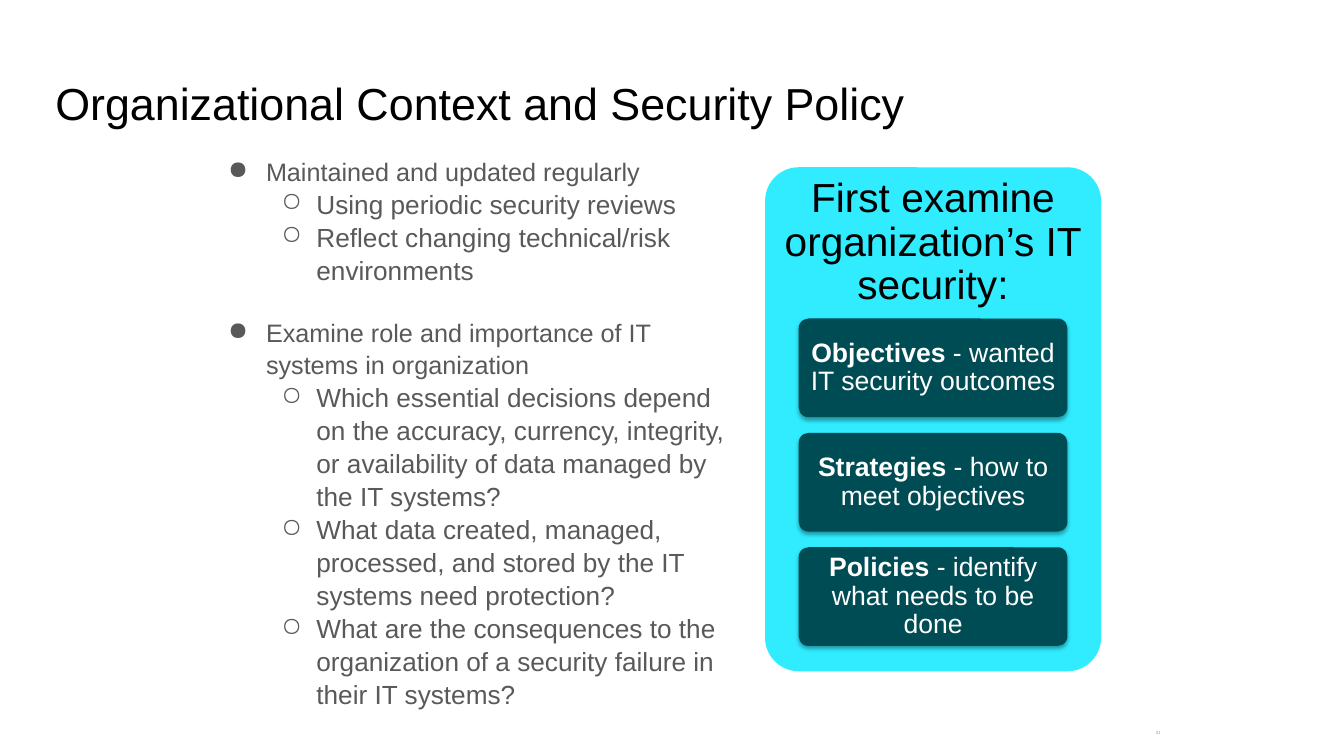
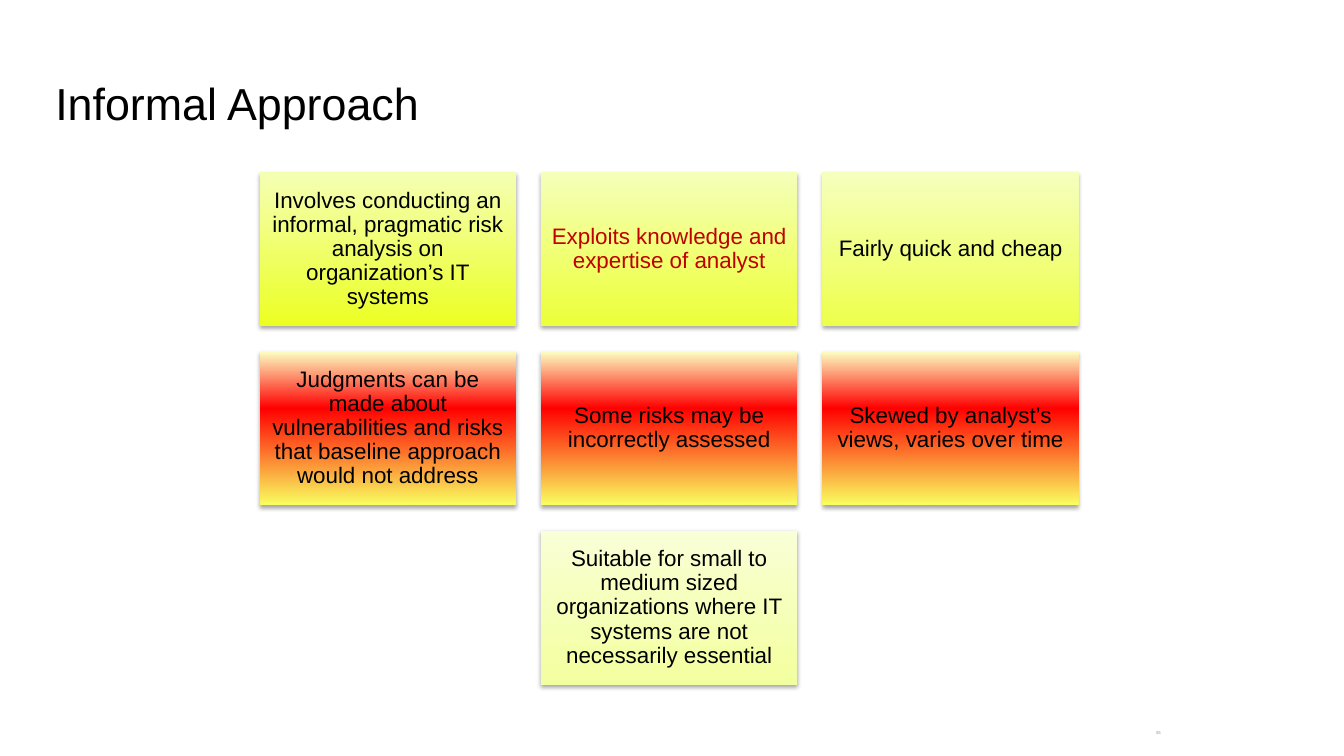
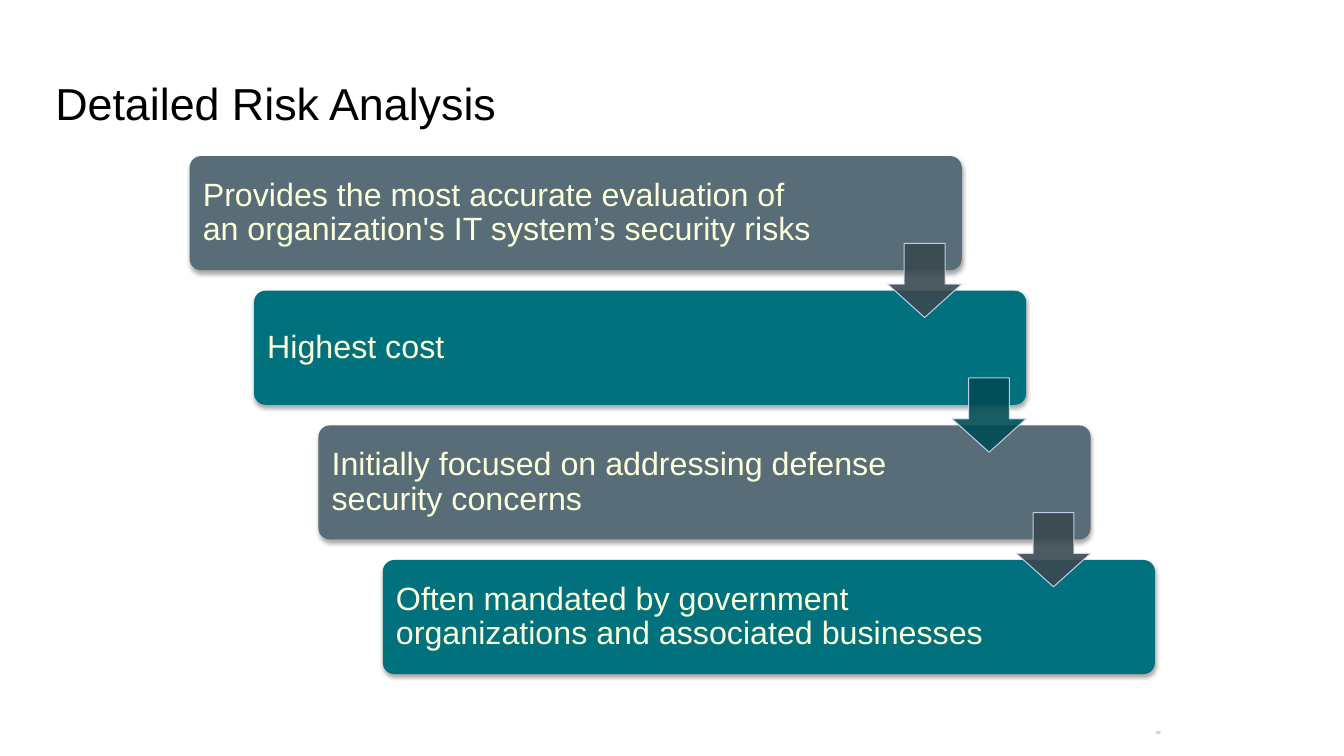
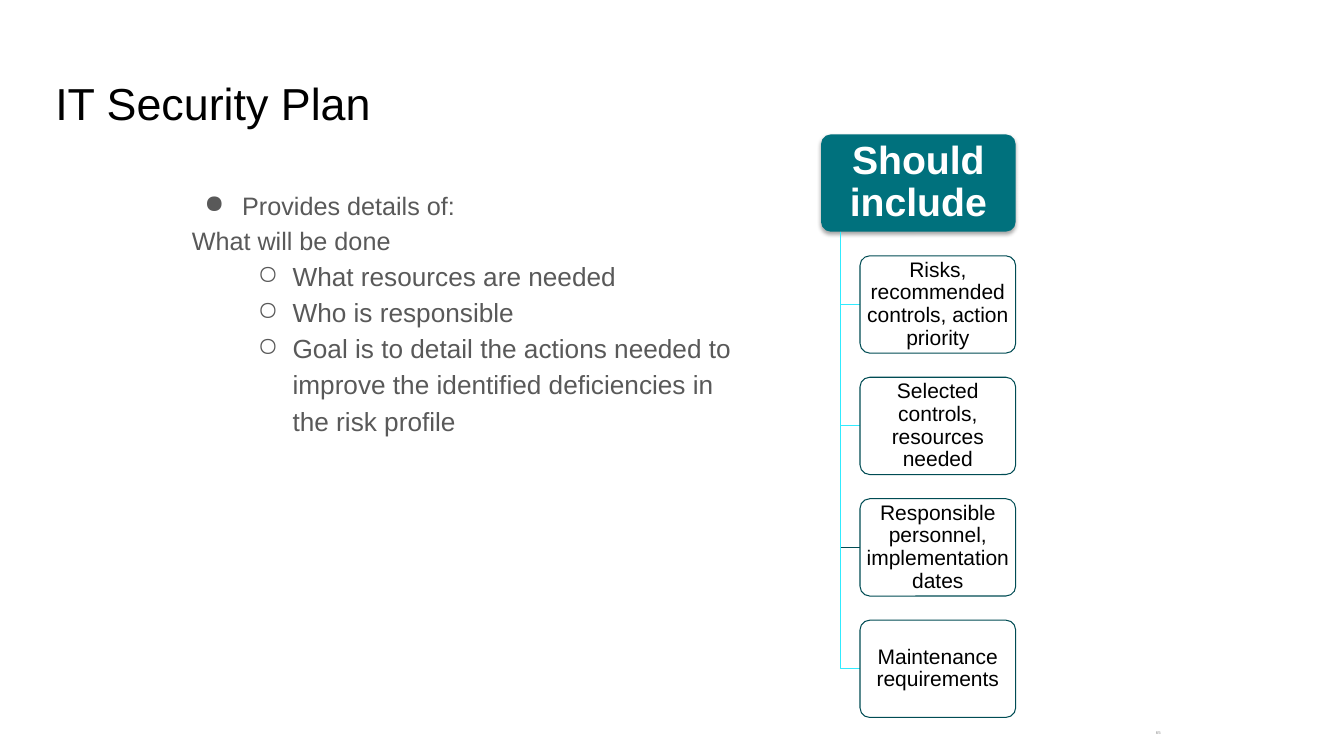
import pptx
import pptx.util
import pptx.dml.color
import pptx.enum.shapes
import pptx.enum.text
import pptx.oxml.ns

Pt = pptx.util.Pt
Shape = pptx.enum.shapes.MSO_SHAPE
Align = pptx.enum.text.PP_ALIGN
Anchor = pptx.enum.text.MSO_ANCHOR

FONT = "Arial"
HEX = {
    "black": "000000", "white": "FFFFFF", "body": "595959", "page": "8C8C8C",
    "cyan": "31EBFF", "teal": "00717D", "deep": "004C54", "slate": "586D77",
    "dusk": "3A4950", "cream": "FCFFD9", "edge": "CFD9FB", "red": "C00000",
}
# Gradient stops from the bottom of the tile to its top
LIME = [(0, "EBFF23"), (100, "F5FFB4")]
LEMON = [(0, "ECFF38"), (100, "F5FFB9")]
CITRUS = [(0, "EDFF4C"), (100, "F6FFBE")]
PALE = [(0, "F3FF9E"), (100, "F9FFD6")]
FLAME = [(0, "F9FF60"), (63, "FF0000"), (100, "FCFFC2")]


def color(name):
    return pptx.dml.color.RGBColor.from_string(HEX[name])


def add(parent, tag, **attrs):
    """Append a DrawingML child and return it."""
    node = parent.makeelement(pptx.oxml.ns.qn(tag), attrs)
    parent.append(node)
    return node


def fade(part, share):
    """Make every plain colour under an XML node partly clear."""
    for node in part.iter(pptx.oxml.ns.qn("a:srgbClr")):
        add(node, "a:alpha", val=str(share * 1000))


def write(frame, text, size=18, tint="black", lead="", align=Align.LEFT,
          space=None, before=0, mark=None, left=0, hang=0, level=0):
    """Add a paragraph; lead is a bold start, mark is a bullet sign."""
    para = frame.paragraphs[0]
    if para.runs:
        para = frame.add_paragraph()
    para.alignment = align
    para.level = level
    if space:
        para.line_spacing = space
    if before:
        para.space_before = Pt(before)
    if mark:
        props = para._p.get_or_add_pPr()
        props.set("marL", str(Pt(left)))
        props.set("indent", str(Pt(-hang)))
        add(add(props, "a:buClr"), "a:srgbClr", val=HEX[tint])
        add(props, "a:buChar", char=mark)
    for part, bold in ((lead, True), (text, False)):
        if part:
            run = para.add_run()
            run.text = part
            run.font.name = FONT
            run.font.size = Pt(size)
            run.font.bold = bold
            run.font.color.rgb = color(tint)


def setup(shape, inset, anchor):
    """Prepare a text frame; inset is left, top, right, bottom."""
    frame = shape.text_frame
    frame.word_wrap = True
    frame.vertical_anchor = anchor
    (frame.margin_left, frame.margin_top,
     frame.margin_right, frame.margin_bottom) = map(Pt, inset)
    return frame


def area(slide, box, inset=(7, 7, 7, 7), anchor=Anchor.TOP):
    return setup(slide.shapes.add_textbox(*map(Pt, box)), inset, anchor)


def block(slide, kind, box, fill, line=None, adjust=(), shadow=False,
          inset=(4, 3, 4, 3)):
    """Draw a preset shape; fill is a colour name or a list of stops."""
    shape = slide.shapes.add_shape(kind, *map(Pt, box))
    shape.shadow.inherit = False
    for i, value in enumerate(adjust):
        shape.adjustments[i] = value
    if isinstance(fill, str):
        shape.fill.solid()
        shape.fill.fore_color.rgb = color(fill)
    else:
        shape.fill.gradient()
        shape.fill.gradient_angle = 90
        stops = shape._element.spPr.find(".//" + pptx.oxml.ns.qn("a:gsLst"))
        for node in list(stops):
            stops.remove(node)
        for place, code in fill:
            stop = add(stops, "a:gs", pos=str(place * 1000))
            add(stop, "a:srgbClr", val=code)
    if line:
        shape.line.color.rgb = color(line)
        shape.line.width = Pt(0.75)
    else:
        shape.line.fill.background()
    if shadow:
        effect = shape._element.spPr.find(pptx.oxml.ns.qn("a:effectLst"))
        outer = add(effect, "a:outerShdw", blurRad=str(Pt(3.1)),
                    dist=str(Pt(1.8)), dir="5400000", rotWithShape="0")
        tint = add(outer, "a:srgbClr", val=HEX["black"])
        add(tint, "a:alpha", val="35000")
    setup(shape, inset, Anchor.MIDDLE)
    return shape


def card(slide, box, fill, **style):
    return block(slide, Shape.ROUNDED_RECTANGLE, box, fill, adjust=[0.1], **style)


def start(deck, title, page):
    """Add a slide with its title and page number."""
    slide = deck.slides.add_slide(deck.slide_layouts[6])
    write(area(slide, (32.5, 47, 894, 60)), title, size=32)
    foot = area(slide, (787, 518.5, 49, 11), (7, 3.5, 7, 3.5), Anchor.MIDDLE)
    write(foot, page, size=3, tint="page", align=Align.RIGHT, space=0.8)
    return slide


def bullets(slide, box, rows, space):
    """Rows are (level, text, gap before); level None has no bullet."""
    frame = area(slide, box)
    looks = {
        None: dict(size=18),
        0: dict(size=18, mark="●", left=36, hang=27),
        1: dict(size=18.7, mark="○", left=72, hang=25, level=1),
    }
    for level, text, gap in rows:
        write(frame, text, tint="body", space=space, before=gap, **looks[level])


def panel(slide, box, head, items):
    """Draw a rounded panel with a heading and a column of cards."""
    x, y, w, h = box
    card(slide, box, "cyan")
    write(area(slide, (x, y, w, 0.3 * h), (8.5,) * 4, Anchor.MIDDLE), head,
          size=29, align=Align.CENTER, space=0.9)
    for i, (lead, text) in enumerate(items):
        spot = (x + 0.1 * w, y + 0.3 * h + i * 81.7, 0.8 * w, 70.5)
        shape = card(slide, spot, "deep", shadow=True)
        write(shape.text_frame, text, lead=lead, size=19, tint="white",
              align=Align.CENTER, space=0.9)


def tiles(slide, box, items, gap=18):
    """Fill a grid of three columns; items are (row, column, fill, tint, text)."""
    x, y, w, h = box
    wide, high = (w - 2 * gap) / 3, (h - 2 * gap) / 3
    for row, col, fill, tint, text in items:
        spot = (x + col * (wide + gap), y + row * (high + gap), wide, high)
        shape = block(slide, Shape.RECTANGLE, spot, fill, shadow=True,
                      inset=(5, 5, 5, 5))
        write(shape.text_frame, text, size=16, tint=tint,
              align=Align.CENTER, space=0.9)


def stairs(slide, box, items):
    """Draw cards stepping down to the right, joined by arrows."""
    x, y, w, h = box
    high, side, shift = 81.5, 53, 46
    wide = w - shift * (len(items) - 1)
    step = (h - high) / (len(items) - 1)
    for i, text in enumerate(items):
        shape = card(slide, (x + i * shift, y + i * step, wide, high),
                     ("slate", "teal")[i % 2], shadow=True,
                     inset=(7, 7, 104, 7))
        write(shape.text_frame, text, size=23, tint="cream", space=0.9)
    for i in range(len(items) - 1):
        mid = y + i * step + (high + step) / 2
        spot = (x + i * shift + wide - side, mid - side / 2, side, side)
        arrow = block(slide, Shape.DOWN_ARROW, spot, ("dusk", "deep")[i % 2],
                      line="edge", adjust=[0.45, 0.55])
        arrow.adjustments[0], arrow.adjustments[1] = 0.55, 0.45
        fade(arrow._element.spPr, 90)


def elbow(slide, x, top, end, right, tint):
    """Draw an open line down and then to the right."""
    pen = slide.shapes.build_freeform(Pt(x), Pt(top))
    pen.add_line_segments([(Pt(x), Pt(end)), (Pt(right), Pt(end))], close=False)
    shape = pen.convert_to_shape()
    shape.shadow.inherit = False
    shape.fill.background()
    shape.line.color.rgb = color(tint)
    shape.line.width = Pt(0.75)


def tree(slide, box, head, items):
    """Draw a root card and its leaves; items are (line colour, text)."""
    x, y, w, h = box
    high = 69.5
    step = (h - high) / len(items)
    root = card(slide, (x, y, w, high), "teal", shadow=True)
    write(root.text_frame, "", lead=head, size=28, tint="white",
          align=Align.CENTER, space=0.9)
    for i, (tint, text) in enumerate(items, 1):
        top, left = y + i * step, x + 0.2 * w
        elbow(slide, x + 0.1 * w, y + high, top + high / 2, left, tint)
        leaf = card(slide, (left, top, 0.8 * w, high), "white", line="deep",
                    inset=(2, 1.5, 2, 1.5))
        fade(leaf._element.spPr.find(pptx.oxml.ns.qn("a:solidFill")), 90)
        write(leaf.text_frame, text, size=15, align=Align.CENTER, space=0.9)


def policy(deck):
    slide = start(deck, "Organizational Context and Security Policy", "31")
    bullets(slide, (147, 103.5, 391.5, 415), [
        (0, "Maintained and updated regularly", 0),
        (1, "Using periodic security reviews", 0),
        (1, "Reflect changing technical/risk environments", 0),
        (0, "Examine role and importance of IT systems in organization", 22),
        (1, "Which essential decisions depend on the accuracy, currency, "
            "integrity, or availability of data managed by the IT systems?", 0),
        (1, "What data created, managed, processed, and stored by the IT "
            "systems need protection?", 0),
        (1, "What are the consequences to the organization of a security "
            "failure in their IT systems?", 0),
    ], 1.05)
    panel(slide, (546.5, 119.5, 240, 360),
          "First examine organization’s IT security:", [
              ("Objectives", " - wanted IT security outcomes"),
              ("Strategies", " - how to meet objectives"),
              ("Policies", " - identify what needs to be done"),
          ])


def informal(deck):
    slide = start(deck, "Informal Approach", "35")
    tiles(slide, (185.5, 123, 585, 366), [
        (0, 0, LIME, "black", "Involves conducting an informal, pragmatic "
         "risk analysis on organization’s IT systems"),
        (0, 1, LEMON, "red", "Exploits knowledge and expertise of analyst"),
        (0, 2, CITRUS, "black", "Fairly quick and cheap"),
        (1, 0, FLAME, "black", "Judgments can be made about vulnerabilities "
         "and risks that baseline approach would not address"),
        (1, 1, FLAME, "black", "Some risks may be incorrectly assessed"),
        (1, 2, FLAME, "black", "Skewed by analyst’s views, varies over time"),
        (2, 1, PALE, "black", "Suitable for small to medium sized "
         "organizations where IT systems are not necessarily essential"),
    ])


def detail(deck):
    slide = start(deck, "Detailed Risk Analysis", "38")
    stairs(slide, (135.5, 111.5, 689.5, 370), [
        "Provides the most accurate evaluation of an organization's IT "
        "system’s security risks",
        "Highest cost",
        "Initially focused on addressing defense security concerns",
        "Often mandated by government organizations and associated businesses",
    ])


def plan(deck):
    slide = start(deck, "IT Security Plan", "65")
    bullets(slide, (130, 126, 410, 356), [
        (0, "Provides details of:", 0),
        (None, "What will be done", 0),
        (1, "What resources are needed", 0),
        (1, "Who is responsible", 0),
        (1, "Goal is to detail the actions needed to improve the identified "
            "deficiencies in the risk profile", 0),
    ], 1.15)
    tree(slide, (586.5, 96, 139, 416.5), "Should include", [
        ("cyan", "Risks, recommended controls, action priority"),
        ("cyan", "Selected controls, resources needed"),
        ("deep", "Responsible personnel, implementation dates"),
        ("cyan", "Maintenance requirements"),
    ])


def main():
    deck = pptx.Presentation()
    deck.slide_width, deck.slide_height = Pt(960), Pt(540)
    for make in (policy, informal, detail, plan):
        make(deck)
    deck.save("out.pptx")


if __name__ == "__main__":
    main()
